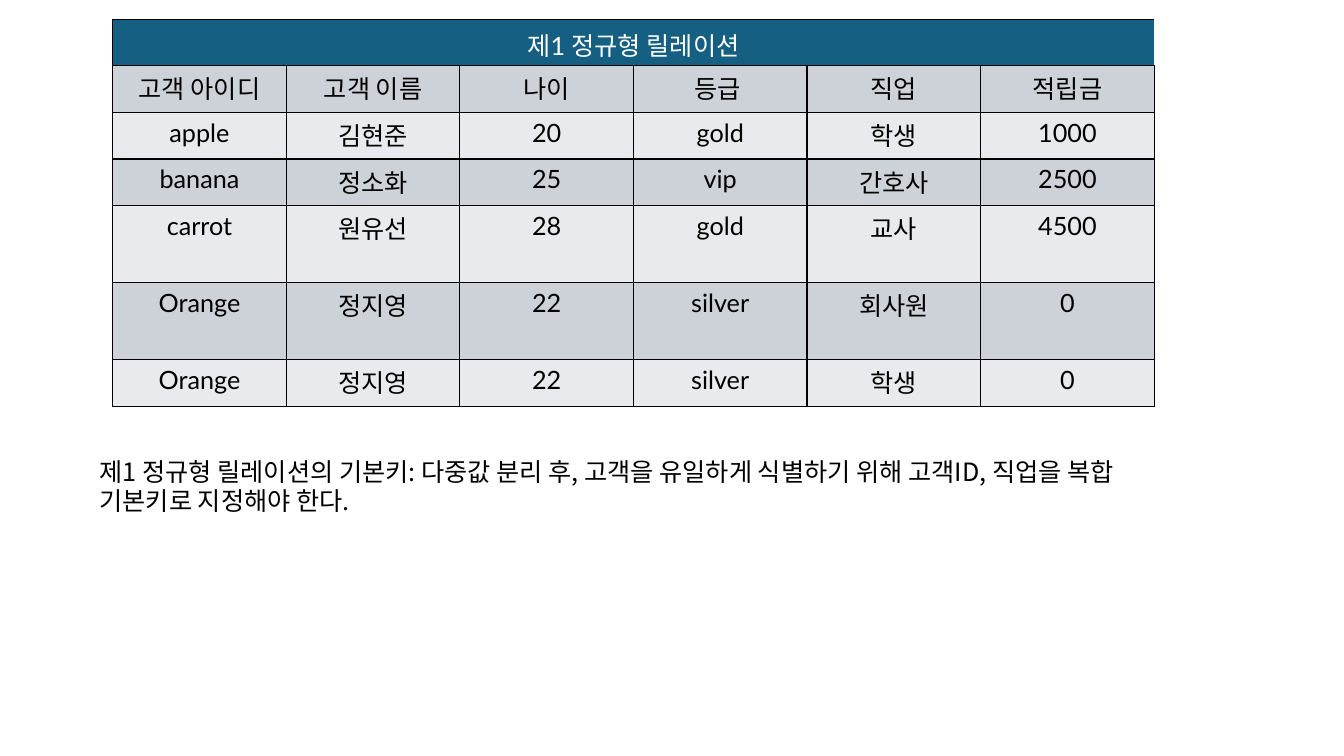
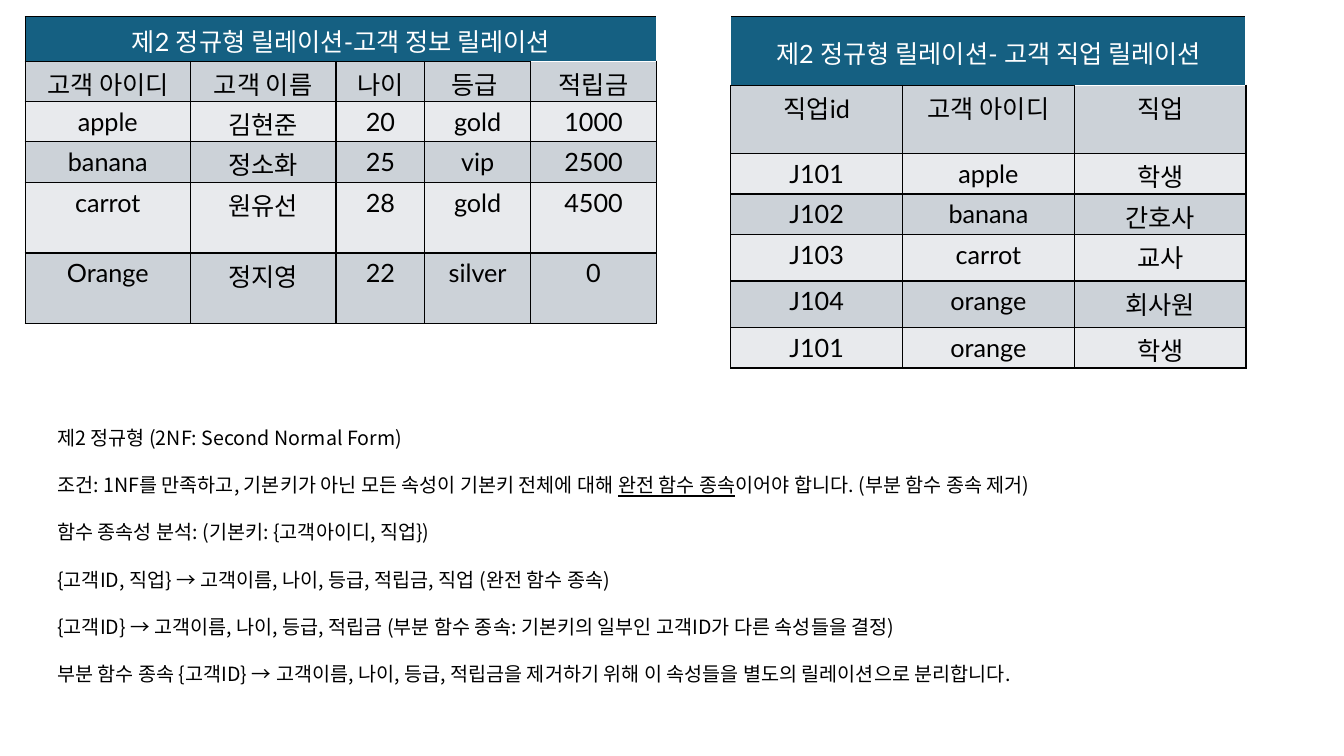
"""Build two slides on the first and second normal forms of a customer relation."""
from lxml import etree
from pptx import Presentation
from pptx.dml.color import RGBColor
from pptx.enum.text import MSO_ANCHOR, MSO_AUTO_SIZE, PP_ALIGN
from pptx.oxml.ns import qn
from pptx.util import Pt

CENTER, LEFT = PP_ALIGN.CENTER, PP_ALIGN.LEFT
TOP, MIDDLE = MSO_ANCHOR.TOP, MSO_ANCHOR.MIDDLE
FIT_SHAPE = MSO_AUTO_SIZE.SHAPE_TO_FIT_TEXT
BLACK = RGBColor(0x00, 0x00, 0x00)
WHITE = RGBColor(0xFF, 0xFF, 0xFF)
TEAL = RGBColor(0x15, 0x60, 0x82)
BANDS = (RGBColor(0xCC, 0xD2, 0xD8), RGBColor(0xE8, 0xEA, 0xED))
TABLE_FONT, KOREAN_FONT = "Lato", "Noto Sans CJK KR"
TABLE_SIZE, KOREAN_LINE = 18, 25.2

FIRST_FORM = {
    "title": "제1 정규형 릴레이션",
    "at": (80.5, 13.7),
    "columns": [124] * 6,
    "rows": [33.3, 33.3, 33.3, 33.3, 55, 55, 33.3],
    "white": {"title_right"},
    "cells": [
        ("고객 아이디", "고객 이름", "나이", "등급 ", "직업", "적립금"),
        ("apple", "김현준", "20", "gold", "학생", "1000"),
        ("banana", "정소화", "25", "vip", "간호사", "2500"),
        ("carrot", "원유선", "28", "gold", "교사", "4500"),
        ("Orange", "정지영", "22", "silver", "회사원", "0"),
        ("Orange", "정지영", "22", "silver", "학생", "0"),
    ],
}
CUSTOMERS = {
    "title": "제2 정규형 릴레이션-고객 정보 릴레이션",
    "at": (18, 12),
    "columns": [118, 104, 63.5, 75.5, 90],
    "rows": [31.7, 28.8, 28.8, 28.8, 50.5, 50.5],
    "white": {"title_right", "last_header_top"},
    "cells": [
        ("고객 아이디", "고객 이름", "나이", "등급 ", "적립금"),
        ("apple", "김현준", "20", "gold", "1000"),
        ("banana", "정소화", "25", "vip", "2500"),
        ("carrot", "원유선", "28", "gold", "4500"),
        ("Orange", "정지영", "22", "silver", "0"),
    ],
}
JOBS = {
    "title": "제2 정규형 릴레이션- 고객 직업 릴레이션",
    "at": (522, 12),
    "columns": [122.7] * 3,
    "rows": [48.9, 48.9, 28.8, 28.8, 33.3, 33.3, 28.8],
    "white": {"title_left", "title_right", "last_header_top"},
    "cells": [
        ("직업id", "고객 아이디", "직업"),
        ("J101", "apple", "학생"),
        ("J102", "banana", "간호사"),
        ("J103", "carrot", "교사"),
        ("J104", "orange", "회사원"),
        ("J101", "orange", "학생"),
    ],
}
KEY_NOTE = {
    "at": (64, 322.4, 850.3, 51),
    "size": 18, "line": 21.3, "gap": 0,
    "lines": [
        [("제1 정규형 릴레이션의 기본키: 다중값 분리 후, 고객을 유일하게 식별하기 위해 고객ID, 직업을 복합", False)],
        [("기본키로 지정해야 한다.", False)],
    ],
}
ANALYSIS = {
    "at": (33.8, 300.9, 802, 193.7),
    "size": 14, "line": 16.8, "gap": 16.8,
    "lines": [
        [("제2 정규형 (2NF: Second Normal Form)", False)],
        [("조건: 1NF를 만족하고, 기본키가 아닌 모든 속성이 기본키 전체에 대해 ", False),
         ("완전 함수 종속", True),
         ("이어야 합니다. (부분 함수 종속 제거)", False)],
        [("함수 종속성 분석: (기본키: {고객아이디, 직업})", False)],
        [("{고객ID, 직업} → 고객이름, 나이, 등급, 적립금, 직업 (완전 함수 종속)", False)],
        [("{고객ID} → 고객이름, 나이, 등급, 적립금 (부분 함수 종속: 기본키의 일부인 고객ID가 다른 속성들을 결정)", False)],
        [("부분 함수 종속 {고객ID} → 고객이름, 나이, 등급, 적립금을 제거하기 위해 이 속성들을 별도의 릴레이션으로 분리합니다.", False)],
    ],
}
SLIDES = [([FIRST_FORM], KEY_NOTE), ([CUSTOMERS, JOBS], ANALYSIS)]


def add_span(para, text, font, size, color):
    """Add one run with a Latin font and the shared Korean font."""
    span = para.add_run()
    span.text = text
    span.font.size = Pt(size)
    span.font.color.rgb = color
    span.font.name = font
    east_asian = etree.SubElement(span.font._element, qn("a:ea"))
    east_asian.set("typeface", KOREAN_FONT)
    return span


def set_borders(cell, **colors):
    """Draw four one-point borders, black unless a side is given a colour."""
    properties = cell._tc.get_or_add_tcPr()
    for side in "LRTB":
        line = etree.SubElement(properties, qn(f"a:ln{side}"), w=str(Pt(1)))
        fill = etree.SubElement(line, qn("a:solidFill"))
        etree.SubElement(fill, qn("a:srgbClr"), val=str(colors.get(side, BLACK)))


def fill_cell(cell, text, fill, color, anchor):
    """Fill a cell and centre its text."""
    cell.fill.solid()
    cell.fill.fore_color.rgb = fill
    cell.vertical_anchor = anchor
    cell.margin_top, cell.margin_bottom = Pt(3.6), Pt(0)
    para = cell.text_frame.paragraphs[0]
    para.alignment = CENTER
    if not text.isascii():
        para.line_spacing = Pt(KOREAN_LINE)
    add_span(para, text, TABLE_FONT, TABLE_SIZE, color)


def add_relation(page, relation):
    """Add a relation as a table with a merged title row."""
    columns, rows, white = relation["columns"], relation["rows"], relation["white"]
    last = len(columns) - 1
    left, top = relation["at"]
    table = page.shapes.add_table(len(rows), len(columns), Pt(left), Pt(top),
                                  Pt(sum(columns)), Pt(sum(rows))).table
    for column, width in zip(table.columns, columns):
        column.width = Pt(width)
    for row, height in zip(table.rows, rows):
        row.height = Pt(height)

    title_sides = {side: WHITE for side, key in (("L", "title_left"), ("R", "title_right"))
                   if key in white}
    for index in range(len(columns)):
        set_borders(table.cell(0, index), **title_sides)
    title = table.cell(0, 0)
    title.merge(table.cell(0, last))
    fill_cell(title, relation["title"], TEAL, WHITE, MIDDLE)

    for row, values in enumerate(relation["cells"], start=1):
        for index, value in enumerate(values):
            cell = table.cell(row, index)
            open_top = row == 1 and index == last and "last_header_top" in white
            set_borders(cell, T=WHITE if open_top else BLACK)
            fill_cell(cell, value, BANDS[(row - 1) % 2], BLACK, TOP)


def add_note(page, note):
    """Add the explanatory text below the tables."""
    box = page.shapes.add_textbox(*map(Pt, note["at"]))
    frame = box.text_frame
    frame.word_wrap = True
    frame.auto_size = FIT_SHAPE
    for index, spans in enumerate(note["lines"]):
        para = frame.add_paragraph() if index else frame.paragraphs[0]
        para.alignment = LEFT
        para.line_spacing = Pt(note["line"])
        para.space_before = Pt(note["gap"] if index else 0)
        for text, underlined in spans:
            span = add_span(para, text, KOREAN_FONT, note["size"], BLACK)
            if underlined:
                span.font.underline = True


def main():
    """Build and save the deck."""
    deck = Presentation()
    deck.slide_width, deck.slide_height = Pt(960), Pt(540)
    for relations, note in SLIDES:
        page = deck.slides.add_slide(deck.slide_layouts[6])
        for relation in relations:
            add_relation(page, relation)
        add_note(page, note)
    deck.save("out.pptx")


if __name__ == "__main__":
    main()
